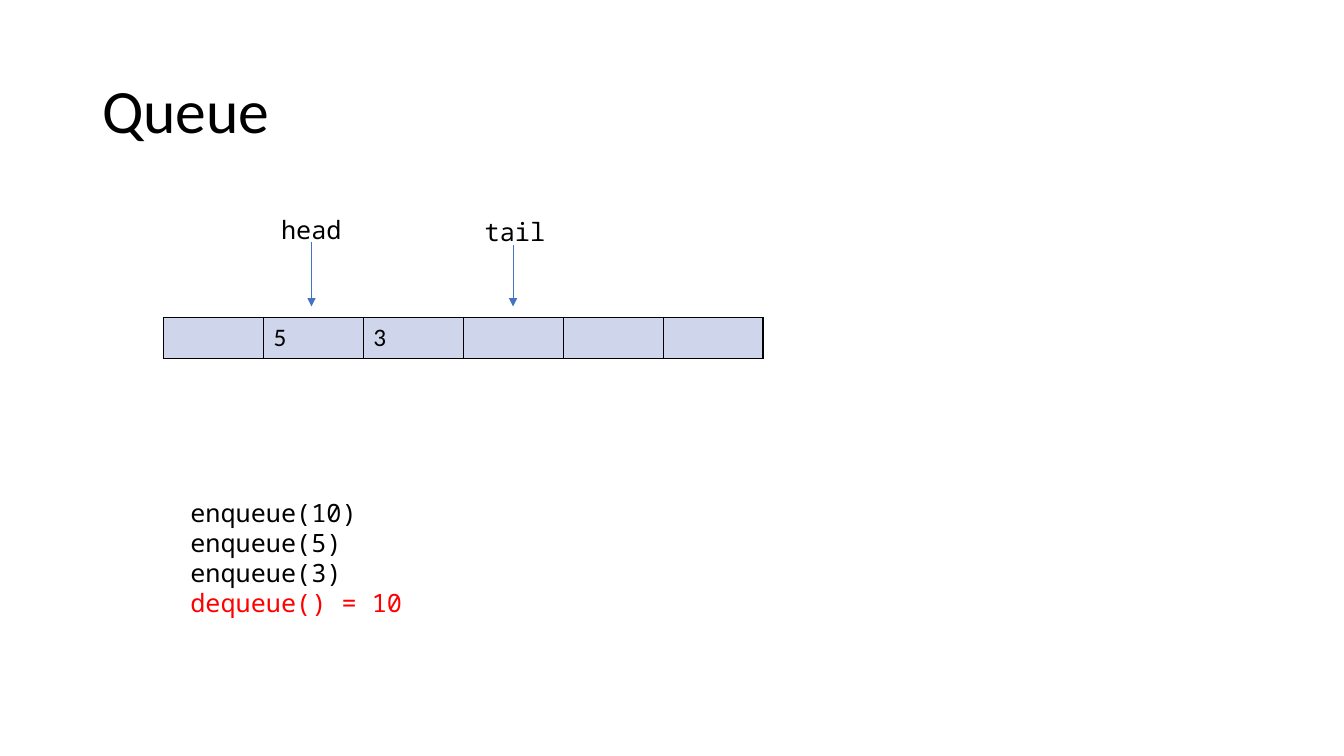
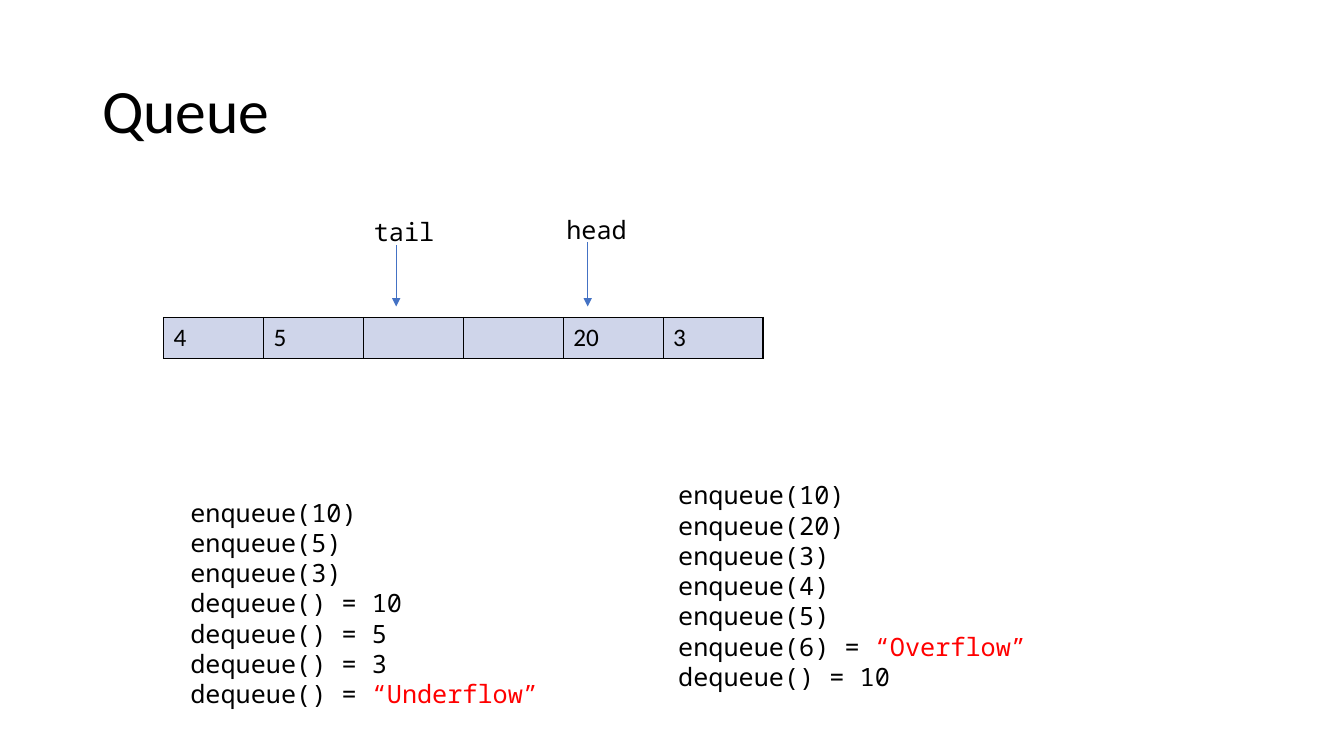
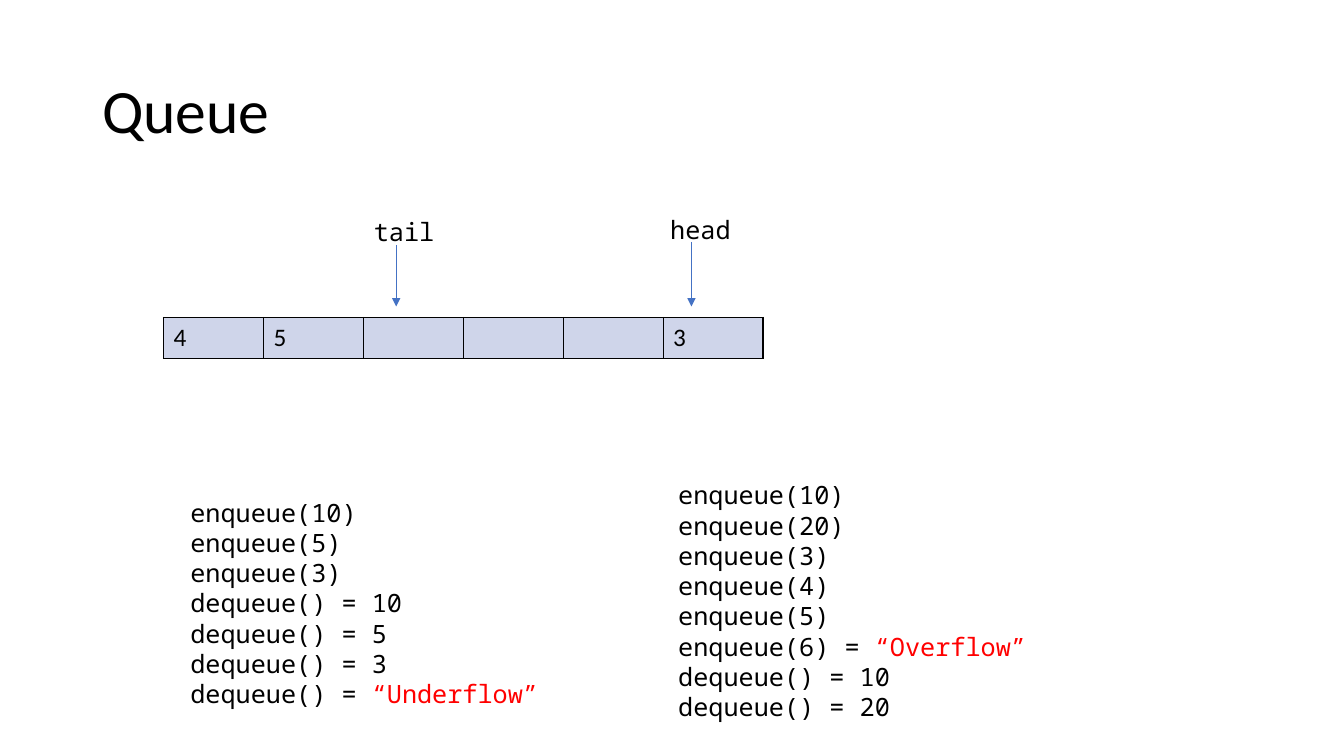
from lxml import etree
from pptx import Presentation
from pptx.dml.color import RGBColor
from pptx.enum import shapes, text
from pptx.oxml import ns
from pptx.util import Pt

BLACK, RED, BLUE, CELL_FILL = "000000", "FF0000", "4472C4", "CFD5EA"
BODY_FONT, CODE_FONT = "Calibri", "Noto Sans Mono"
BODY_SIZE, TITLE_SIZE = 18, 44
LINE_HEIGHT, INSETS = 21.78, 7.2
QUEUE_LEFT, QUEUE_TOP, CELL_WIDTH, CELL_HEIGHT = 116.8, 226.8, 71.4, 29.2
ARROW_END = 218.9

# Each code line is a pair: black text, red text.
ENQUEUES = [("enqueue(10)", ""), ("enqueue(5)", ""), ("enqueue(3)", "")]
DEQUEUED_FIRST = ENQUEUES + [("", "dequeue() = 10")]
UNDERFLOW = ENQUEUES + [
    ("dequeue() = 10", ""),
    ("dequeue() = 5", ""),
    ("dequeue() = 3", ""),
    ("dequeue() = ", "“Underflow”"),
]
OVERFLOW = [
    ("enqueue(10)", ""),
    ("enqueue(20)", ""),
    ("enqueue(3)", ""),
    ("enqueue(4)", ""),
    ("enqueue(5)", ""),
    ("enqueue(6) = ", "“Overflow”"),
    ("dequeue() = 10", ""),
]


def color(value):
    return RGBColor.from_string(value)


def format_font(font, name=CODE_FONT, size=BODY_SIZE, fill=BLACK):
    font.name = name
    font.size = Pt(size)
    font.color.rgb = color(fill)


def add_text_frame(slide, left, top, width, height):
    box = slide.shapes.add_textbox(Pt(left), Pt(top), Pt(width), Pt(height))
    box.text_frame.word_wrap = True
    return box.text_frame


def add_title(slide, title):
    frame = add_text_frame(slide, 66, 28.8, 828, 104.4)
    frame.vertical_anchor = text.MSO_ANCHOR.MIDDLE
    frame.text = title
    paragraph = frame.paragraphs[0]
    paragraph.line_spacing = 0.9
    format_font(paragraph.runs[0].font, BODY_FONT, TITLE_SIZE)


def add_code(slide, left, top, lines):
    height = len(lines) * LINE_HEIGHT + INSETS
    frame = add_text_frame(slide, left, top, 266.4, height)
    for index, parts in enumerate(lines):
        paragraph = frame.add_paragraph() if index else frame.paragraphs[0]
        for part, fill in zip(parts, (BLACK, RED)):
            if part:
                run = paragraph.add_run()
                run.text = part
                format_font(run.font, fill=fill)


def add_cell_borders(cell):
    properties = cell._tc.get_or_add_tcPr()
    for index, side in enumerate(("lnL", "lnR", "lnT", "lnB")):
        border = etree.Element(ns.qn(f"a:{side}"), w=str(Pt(1)))
        fill = etree.SubElement(border, ns.qn("a:solidFill"))
        etree.SubElement(fill, ns.qn("a:srgbClr"), val=BLACK)
        properties.insert(index, border)


def add_queue(slide, values):
    frame = slide.shapes.add_table(
        1, len(values), Pt(QUEUE_LEFT), Pt(QUEUE_TOP),
        Pt(CELL_WIDTH * len(values)), Pt(CELL_HEIGHT))
    table = frame.table
    table.first_row = table.horz_banding = False
    for column, value in enumerate(values):
        table.columns[column].width = Pt(CELL_WIDTH)
        cell = table.cell(0, column)
        cell.fill.solid()
        cell.fill.fore_color.rgb = color(CELL_FILL)
        add_cell_borders(cell)
        if value:
            cell.text = value
            format_font(cell.text_frame.paragraphs[0].runs[0].font, BODY_FONT)


def add_arrow(slide, center, top):
    arrow = slide.shapes.add_connector(
        shapes.MSO_CONNECTOR.STRAIGHT, Pt(center), Pt(top), Pt(center), Pt(ARROW_END))
    arrow.line.color.rgb = color(BLUE)
    arrow.line.width = Pt(0.5)
    etree.SubElement(arrow.line._get_or_add_ln(), ns.qn("a:tailEnd"), type="triangle")
    etree.SubElement(arrow._element.spPr, ns.qn("a:effectLst"))


def add_pointer(slide, label, label_left, label_top, arrow_center, arrow_top):
    """Add a label with an arrow down to its queue cell."""
    add_arrow(slide, arrow_center, arrow_top)
    frame = add_text_frame(slide, label_left, label_top, 72.7, LINE_HEIGHT + INSETS)
    frame.text = label
    format_font(frame.paragraphs[0].runs[0].font)


def add_queue_slide(presentation, values, head, tail, left_code, right_code=None):
    """Add a slide; head and tail each give label left and arrow centre."""
    slide = presentation.slides.add_slide(presentation.slide_layouts[6])
    add_title(slide, "Queue")
    add_queue(slide, values)
    add_pointer(slide, "tail", tail[0], 150.9, tail[1], 175)
    add_pointer(slide, "head", head[0], 149.8, head[1], 172.8)
    add_code(slide, 128.9, 351.4, left_code)
    if right_code:
        add_code(slide, 477.4, 339.1, right_code)


def main():
    presentation = Presentation()
    presentation.slide_width, presentation.slide_height = Pt(960), Pt(540)
    wrapped_tail = (259.9, 283)
    add_queue_slide(presentation, ["", "5", "3", "", "", ""],
                    (193.7, 222.5), (339.1, 366.5), DEQUEUED_FIRST)
    add_queue_slide(presentation, ["4", "5", "", "", "20", "3"],
                    (397.4, 419.8), wrapped_tail, UNDERFLOW, OVERFLOW)
    add_queue_slide(presentation, ["4", "5", "", "", "", "3"],
                    (471.6, 493.9), wrapped_tail, UNDERFLOW,
                    OVERFLOW + [("dequeue() = 20", "")])
    presentation.save("out.pptx")


if __name__ == "__main__":
    main()
